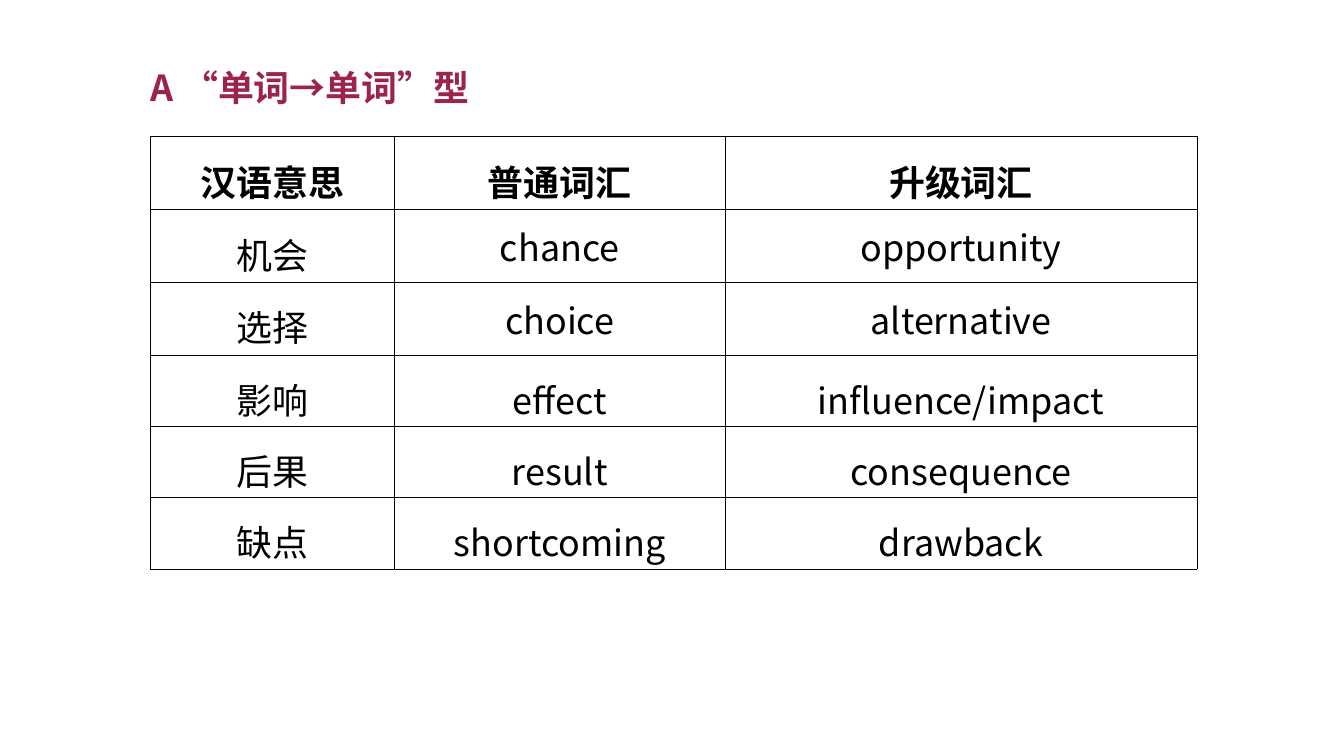
"""Build a slide with a table of upgraded English vocabulary."""
from lxml.etree import SubElement
from pptx import Presentation
from pptx.dml.color import RGBColor
from pptx.enum.lang import MSO_LANGUAGE_ID as Language
from pptx.enum.text import MSO_ANCHOR as Anchor, MSO_AUTO_SIZE as AutoSize, PP_ALIGN as Align
from pptx.oxml.ns import qn
from pptx.util import Inches, Pt

HEADING = "A “单词→单词”型"
VOCABULARY = [
    ("汉语意思", "普通词汇", "升级词汇"),
    ("机会", "chance", "opportunity"),
    ("选择", "choice", "alternative"),
    ("影响", "effect", "influence/impact"),
    ("后果", "result", "consequence"),
    ("缺点", "shortcoming", "drawback"),
]
COLUMN_WIDTHS = (4.72, 6.39, 9.13)
ROW_HEIGHT = 1.38
PADDED_ROWS = 3
SINGLE_SPACED = {"chance", "opportunity", "choice", "alternative"}
COLORS = {"heading": "9D234F", "text": "000000", "border": "000000"}
FONT = "Noto Sans CJK SC"
FONT_FORMAT = {"name": FONT, "size": Pt(50), "language_id": Language.SIMPLIFIED_CHINESE}


def write(paragraph, words, color, bold):
    run = paragraph.add_run()
    run.text = words
    for key, value in {**FONT_FORMAT, "bold": bold}.items():
        setattr(run.font, key, value)
    run.font.color.rgb = RGBColor.from_string(COLORS[color])
    SubElement(run._r.get_or_add_rPr(), qn("a:ea"), typeface=FONT)


def draw_borders(cell):
    properties = cell._tc.get_or_add_tcPr()
    for side in ("lnL", "lnR", "lnT", "lnB"):
        border = SubElement(properties, qn(f"a:{side}"), w=str(Pt(1)))
        fill = SubElement(border, qn("a:solidFill"))
        SubElement(fill, qn("a:srgbClr"), val=COLORS["border"])


def add_heading(slide):
    heading = slide.shapes.add_textbox(Inches(2.82), Inches(1.22), Inches(6.55), Inches(0.94))
    heading.text_frame.word_wrap = False
    heading.text_frame.auto_size = AutoSize.SHAPE_TO_FIT_TEXT
    write(heading.text_frame.paragraphs[0], HEADING, "heading", True)


def add_vocabulary(slide):
    vocabulary = slide.shapes.add_table(
        len(VOCABULARY), len(COLUMN_WIDTHS), Inches(2.91), Inches(2.64),
        Inches(sum(COLUMN_WIDTHS)), Inches(ROW_HEIGHT * len(VOCABULARY))).table
    for column, width in zip(vocabulary.columns, COLUMN_WIDTHS):
        column.width = Inches(width)
    for row, entry in enumerate(VOCABULARY):
        vocabulary.rows[row].height = Inches(ROW_HEIGHT)
        for column, words in enumerate(entry):
            cell = vocabulary.cell(row, column)
            padded = row < PADDED_ROWS
            side = Inches((0.1, 0.1, 0.07)[column] if padded else 0)
            edge = Inches(0.05 if padded else 0)
            layout = {"vertical_anchor": Anchor.MIDDLE, "margin_left": side,
                      "margin_right": side, "margin_top": edge, "margin_bottom": edge}
            for key, value in layout.items():
                setattr(cell, key, value)
            draw_borders(cell)
            cell.fill.background()
            paragraph = cell.text_frame.paragraphs[0]
            paragraph.alignment = Align.CENTER
            paragraph.line_spacing = 1.0 if words in SINGLE_SPACED else 1.3
            write(paragraph, words, "text", row == 0)


def main():
    deck = Presentation()
    deck.slide_width, deck.slide_height = Inches(25.99), Inches(14.57)
    slide = deck.slides.add_slide(deck.slide_layouts[6])
    add_vocabulary(slide)
    add_heading(slide)
    deck.save("out.pptx")


if __name__ == "__main__":
    main()
